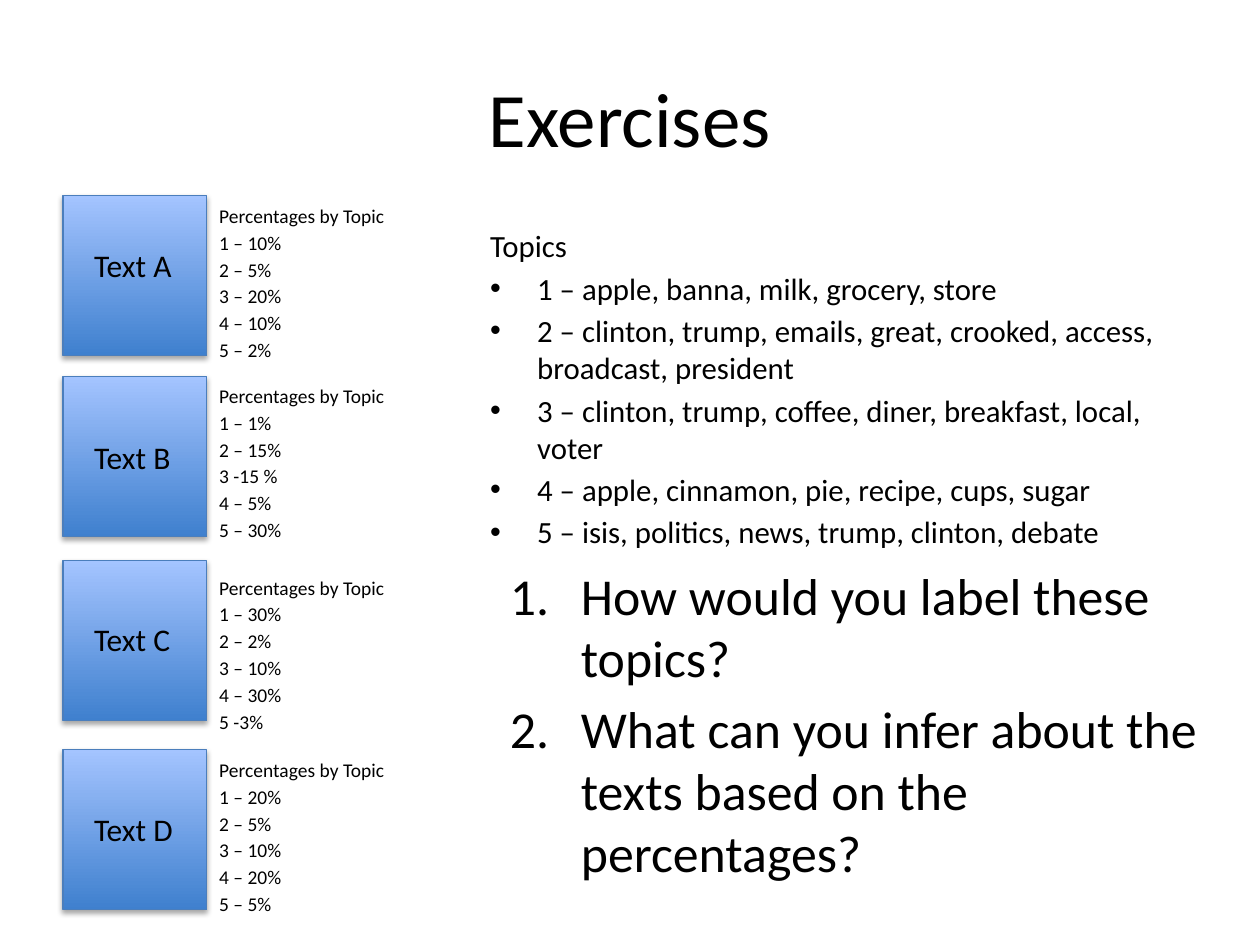
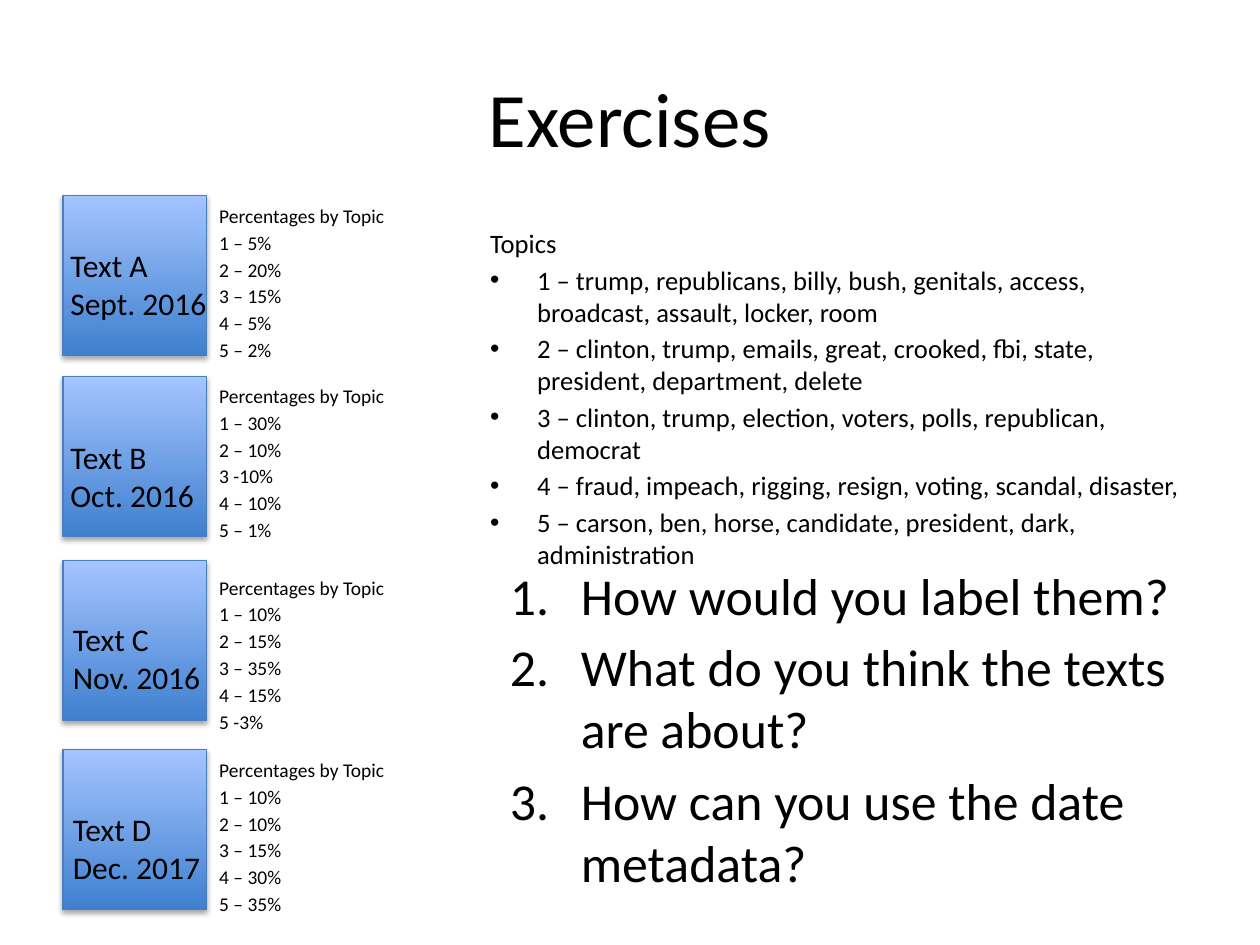
from lxml import etree
from pptx import Presentation
from pptx.dml.color import RGBColor
from pptx.enum.shapes import MSO_SHAPE
from pptx.enum.text import MSO_ANCHOR, MSO_AUTO_SIZE, PP_ALIGN
from pptx.oxml import parse_xml
from pptx.oxml.ns import nsdecls, qn
from pptx.util import Cm, Pt

COLORS = {"text": "000000", "bottom": "3F80CE", "top": "A4C4FF",
          "edge": "4B7EBC", "shadow": "000000"}
FONT = "Calibri"
SPACING = 0.18  # space before a paragraph, as a share of the text size
BULLET = ("buChar", "char", "•")
NUMBER = ("buAutoNum", "type", "arabicPeriod")

# Tops (cm) of the four rows: square, its label, its percentages
ROWS = [(3.94, 4.83, 3.99), (7.59, 8.71, 7.62),
        (11.3, 12.37, 11.48), (15.11, 16.21, 15.16)]


def rgb(name):
    return RGBColor.from_string(COLORS[name])


class Deck:
    def __init__(self):
        self.prs = Presentation()
        self.prs.slide_width, self.prs.slide_height = Cm(25.4), Cm(19.05)
        self.slide = None

    def new_slide(self):
        self.slide = self.prs.slides.add_slide(self.prs.slide_layouts[6])

    def text(self, box, lines, size, spacing=0, wrap=True):
        shape = self.slide.shapes.add_textbox(*map(Cm, box))
        frame = shape.text_frame
        frame.word_wrap = wrap
        frame.auto_size = MSO_AUTO_SIZE.NONE if wrap else MSO_AUTO_SIZE.SHAPE_TO_FIT_TEXT
        for i, line in enumerate(lines):
            paragraph = frame.add_paragraph() if i else frame.paragraphs[0]
            paragraph.space_before = Pt(size * spacing)
            run = paragraph.add_run()
            run.text = line
            run.font.size, run.font.name = Pt(size), FONT
            run.font.color.rgb = rgb("text")
        return frame

    def mark(self, paragraphs, indent, marker):
        """Give paragraphs a hanging indent with a bullet or a number."""
        tag, key, value = marker
        for paragraph in paragraphs:
            props = paragraph._p.get_or_add_pPr()
            props.set("marL", str(Cm(indent)))
            props.set("indent", str(-Cm(indent)))
            etree.SubElement(props, qn("a:buFont")).set("typeface", "Arial" if marker == BULLET else FONT)
            etree.SubElement(props, qn("a:" + tag)).set(key, value)

    def title(self, words):
        frame = self.text((1.27, 0.76, 22.86, 3.18), [words], 44)
        frame.vertical_anchor = MSO_ANCHOR.MIDDLE
        frame.paragraphs[0].alignment = PP_ALIGN.CENTER

    def topics(self, lines, size):
        frame = self.text((9.63, 4.45, 14.5, 6.38), ["Topics"] + lines, size, SPACING)
        self.mark(frame.paragraphs[1:], 0.95, BULLET)

    def questions(self, lines):
        frame = self.text((10.03, 11.23, 14.5, 6.38), lines, 29.6, SPACING)
        self.mark(frame.paragraphs, 1.43, NUMBER)

    def square(self, top):
        shape = self.slide.shapes.add_shape(
            MSO_SHAPE.RECTANGLE, Cm(1.27), Cm(top), Cm(2.9), Cm(3.23))
        shape.fill.gradient()
        shape.fill.gradient_angle = 90
        for stop, name in zip(shape.fill.gradient_stops, ("bottom", "top")):
            stop.color.rgb = rgb(name)
        shape.line.color.rgb = rgb("edge")
        shape.line.width = Pt(0.75)
        shape._element.spPr.append(parse_xml(
            f'<a:effectLst {nsdecls("a")}><a:outerShdw blurRad="{Pt(3.1)}" dist="{Pt(1.8)}" '
            f'dir="5400000" rotWithShape="0"><a:srgbClr val="{COLORS["shadow"]}">'
            '<a:alpha val="35000"/></a:srgbClr></a:outerShdw></a:effectLst>'))

    def label(self, left, top, width, lines):
        height = 1.02 if len(lines) == 1 else 1.8
        self.text((left, top, width, height), lines, 18, wrap=False)

    def percentages(self, top, lines):
        self.text((4.17, top, 5.46, 3.18), ["Percentages by Topic"] + lines, 11.1, SPACING)


# Content: each text is label left, label width, label lines, percentages
SLIDES = [
    {
        "topic_size": 17.6,
        "topics": ["1 – apple, banna, milk, grocery, store",
                   "2 – clinton, trump, emails, great, crooked, access, broadcast, president",
                   "3 – clinton, trump, coffee, diner, breakfast, local, voter",
                   "4 – apple, cinnamon, pie, recipe, cups, sugar",
                   "5 – isis, politics, news, trump, clinton, debate"],
        "questions": ["How would you label these topics?",
                      "What can you infer about the texts based on the percentages?"],
        "texts": [
            (1.65, 2.16, ["Text A"], ["1 – 10%", "2 – 5%", "3 – 20%", "4 – 10%", "5 – 2%"]),
            (1.65, 2.16, ["Text B"], ["1 – 1%", "2 – 15%", "3 -15 %", "4 – 5%", "5 – 30%"]),
            (1.65, 2.16, ["Text C"], ["1 – 30%", "2 – 2%", "3 – 10%", "4 – 30%", "5 -3%"]),
            (1.65, 2.18, ["Text D"], ["1 – 20%", "2 – 5%", "3 – 10%", "4 – 20%", "5 – 5%"]),
        ],
    },
    {
        "topic_size": 15.2,
        "topics": ["1 – trump, republicans, billy, bush, genitals, access, broadcast, assault, locker, room",
                   "2 – clinton, trump, emails, great, crooked, fbi, state, president, department, delete",
                   "3 – clinton, trump, election, voters, polls, republican, democrat",
                   "4 – fraud, impeach, rigging, resign, voting, scandal, disaster,",
                   "5 – carson, ben, horse, candidate, president, dark, administration"],
        "questions": ["How would you label them?",
                      "What do you think the texts are about?",
                      "How can you use the date metadata?"],
        "texts": [
            (1.17, 3.28, ["Text A", "Sept. 2016"], ["1 – 5%", "2 – 20%", "3 – 15%", "4 – 5%", "5 – 2%"]),
            (1.17, 3.02, ["Text B", "Oct. 2016"], ["1 – 30%", "2 – 10%", "3 -10%", "4 – 10%", "5 – 1%"]),
            (1.22, 3.15, ["Text C", "Nov. 2016"], ["1 – 10%", "2 – 15%", "3 – 35%", "4 – 15%", "5 -3%"]),
            (1.22, 3.1, ["Text D", "Dec. 2017"], ["1 – 10%", "2 – 10%", "3 – 15%", "4 – 30%", "5 – 35%"]),
        ],
    },
]

deck = Deck()
for content in SLIDES:
    deck.new_slide()
    deck.title("Exercises")
    deck.topics(content["topics"], content["topic_size"])
    # One row per text: square, label on it, percentages beside it
    for (square_top, label_top, list_top), (left, width, label, shares) in zip(ROWS, content["texts"]):
        deck.square(square_top)
        deck.label(left, label_top, width, label)
        deck.percentages(list_top, shares)
    deck.questions(content["questions"])

deck.prs.save("out.pptx")
